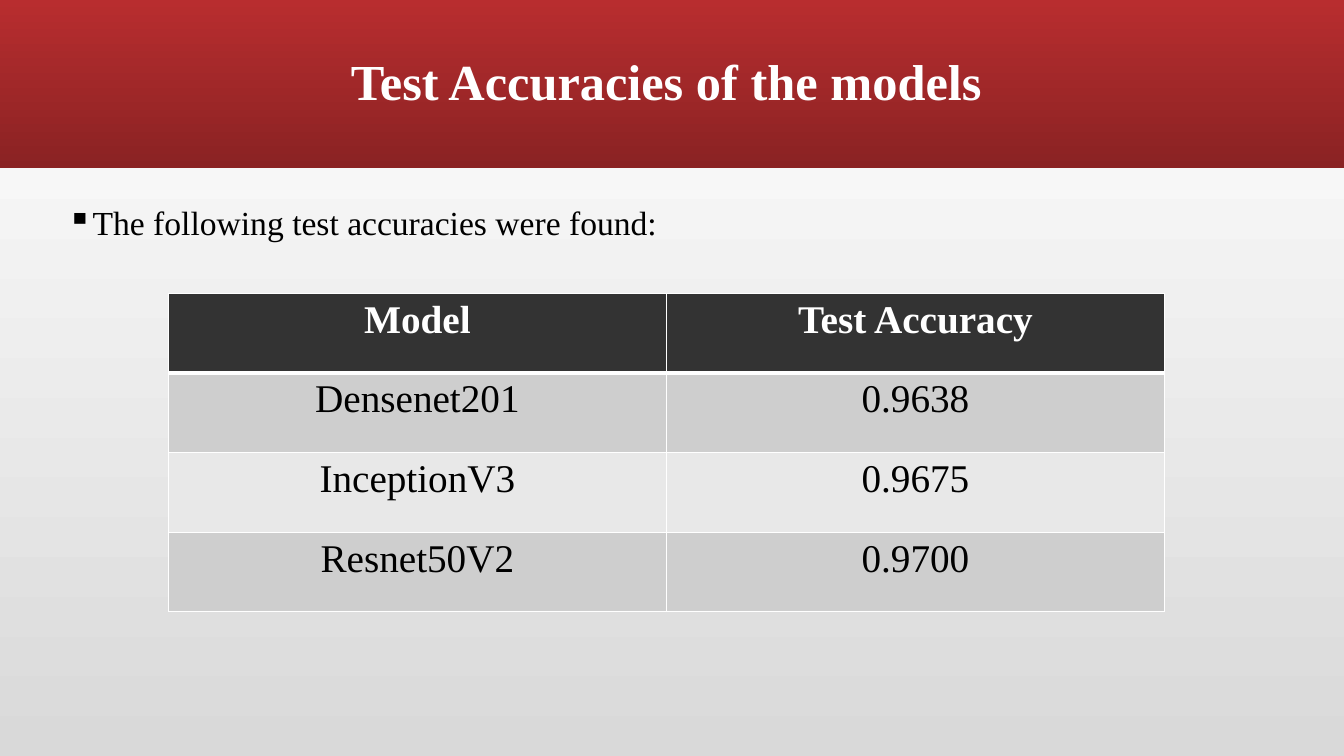
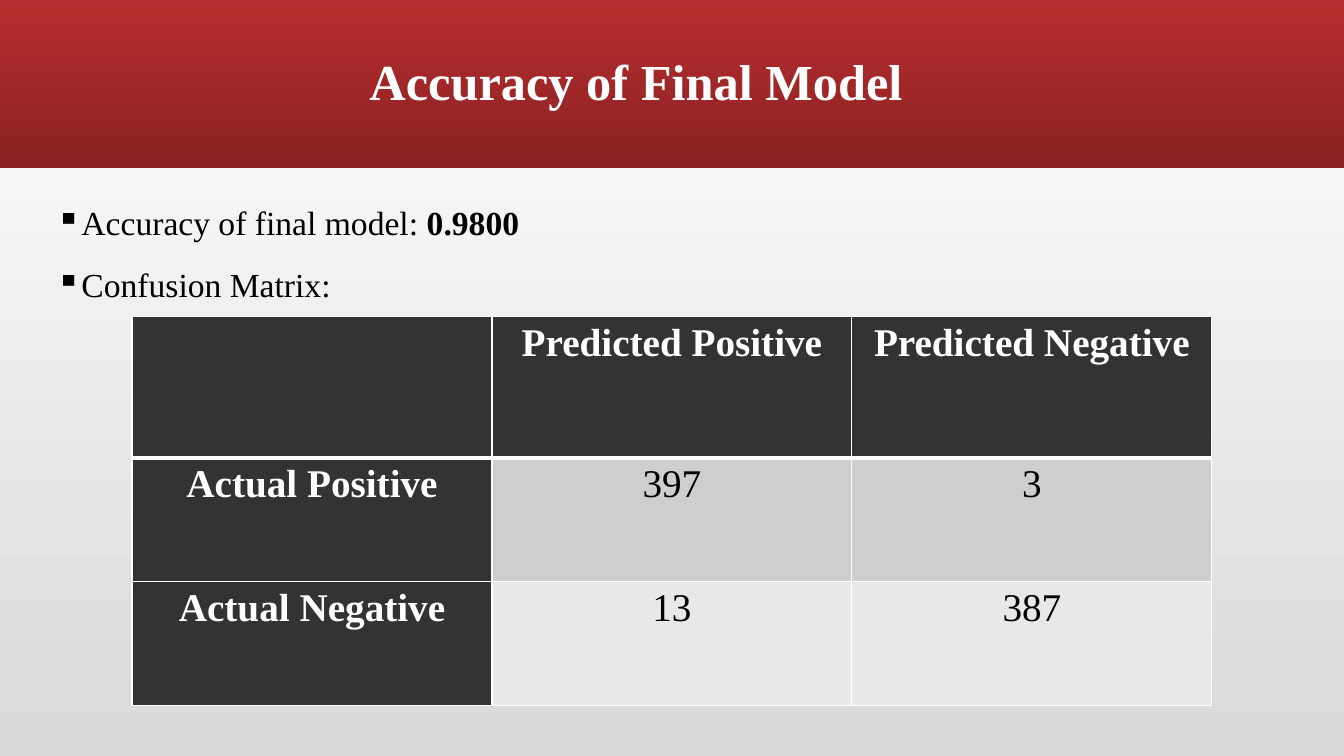
from pptx import Presentation
from pptx import util as u
from pptx.dml.color import RGBColor
from pptx.enum import shapes, text
from pptx.oxml.ns import qn
from lxml import etree

RED = RGBColor(0xB8, 0x2D, 0x2F)
WINE = RGBColor(0x8A, 0x22, 0x23)
WHITE = RGBColor(0xFF, 0xFF, 0xFF)
BLACK = RGBColor(0, 0, 0)
PALE = RGBColor(0xD9, 0xD9, 0xD9)
DARK = RGBColor(0x33, 0x33, 0x33)
BANDS = [RGBColor(0xCE, 0xCE, 0xCE), RGBColor(0xE8, 0xE8, 0xE8)]
FONT = "Times New Roman"
CENTER = text.PP_ALIGN.CENTER


def write(para, words, size=24, color=BLACK, bold=False, align=None):
    run = para.add_run()
    run.text = words
    run.font.name = FONT
    run.font.size = u.Pt(size)
    run.font.bold = bold
    run.font.color.rgb = color
    para.alignment = align


def blend(fill, first, last, angle):
    fill.gradient()
    fill.gradient_angle = angle
    for stop, color in zip(fill.gradient_stops, (first, last)):
        stop.color.rgb = color


pages = [
    dict(
        title="Test Accuracies of the models", left=0.57, wide=12.08,
        points=[[("The following test accuracies were found:", False)]],
        spot=(1.67, 2.91), col=4.94, highs=[0.79] * 4, side=False,
        rows=[("Model", "Test Accuracy"), ("Densenet201", "0.9638"),
              ("InceptionV3", "0.9675"), ("Resnet50V2", "0.9700")],
    ),
    dict(
        title="Accuracy of Final Model", left=0.46, wide=11.7,
        points=[[("Accuracy of final model: ", False), ("0.9800", True)],
                [("Confusion Matrix:", False)]],
        spot=(1.31, 3.14), col=3.57, highs=[1.4, 1.23, 1.23], side=True,
        rows=[("", "Predicted Positive", "Predicted Negative"),
              ("Actual Positive", "397", "3"),
              ("Actual Negative", "13", "387")],
    ),
]

deck = Presentation()
deck.slide_width = u.Inches(13.33)
deck.slide_height = u.Inches(7.5)

for page in pages:
    slide = deck.slides.add_slide(deck.slide_layouts[6])
    blend(slide.background.fill, PALE, WHITE, 90)
    left = u.Inches(page["left"])

    band = slide.shapes.add_shape(
        shapes.MSO_SHAPE.RECTANGLE, 0, 0, deck.slide_width, u.Inches(1.67))
    band.shadow.inherit = False
    band.line.fill.background()
    blend(band.fill, RED, WINE, 270)

    title = slide.shapes.add_textbox(
        left, u.Inches(0.11), u.Inches(page["wide"]), u.Inches(1.45)).text_frame
    title.word_wrap = True
    title.vertical_anchor = text.MSO_ANCHOR.MIDDLE
    para = title.paragraphs[0]
    para.line_spacing = 0.9
    write(para, page["title"], size=36, color=WHITE, bold=True, align=CENTER)

    body = slide.shapes.add_textbox(
        left, u.Inches(2), u.Inches(11.66) - left, u.Inches(5)).text_frame
    body.word_wrap = True
    for i, point in enumerate(page["points"]):
        para = body.add_paragraph() if i else body.paragraphs[0]
        para.line_spacing = 0.9
        para.space_before = u.Pt(18)
        for words, bold in point:
            write(para, words, bold=bold)
        props = para._p.get_or_add_pPr()
        props.set("marL", str(u.Inches(0.25)))
        props.set("indent", str(-u.Inches(0.25)))
        etree.SubElement(props, qn("a:buChar"), char="▪")

    rows, highs = page["rows"], page["highs"]
    count = len(rows[0])
    x, y = page["spot"]
    table = slide.shapes.add_table(
        len(rows), count, u.Inches(x), u.Inches(y),
        u.Inches(page["col"] * count), u.Inches(sum(highs))).table
    for col in table.columns:
        col.width = u.Inches(page["col"])
    for r, row in enumerate(rows):
        table.rows[r].height = u.Inches(highs[r])
        for c, words in enumerate(row):
            cell = table.cell(r, c)
            head = r == 0 or (page["side"] and c == 0)
            props = cell._tc.get_or_add_tcPr()
            for edge in "LRTB":
                thick = 3 if (r, edge) in ((0, "B"), (1, "T")) else 1
                line = etree.SubElement(
                    props, qn("a:ln" + edge), w=str(u.Pt(thick)))
                fill = etree.SubElement(line, qn("a:solidFill"))
                etree.SubElement(fill, qn("a:srgbClr"), val=str(WHITE))
            cell.fill.solid()
            cell.fill.fore_color.rgb = DARK if head else BANDS[(r - 1) % 2]
            if words:
                write(cell.text_frame.paragraphs[0], words, size=28, bold=head,
                      color=WHITE if head else BLACK, align=CENTER)

deck.save("out.pptx")
